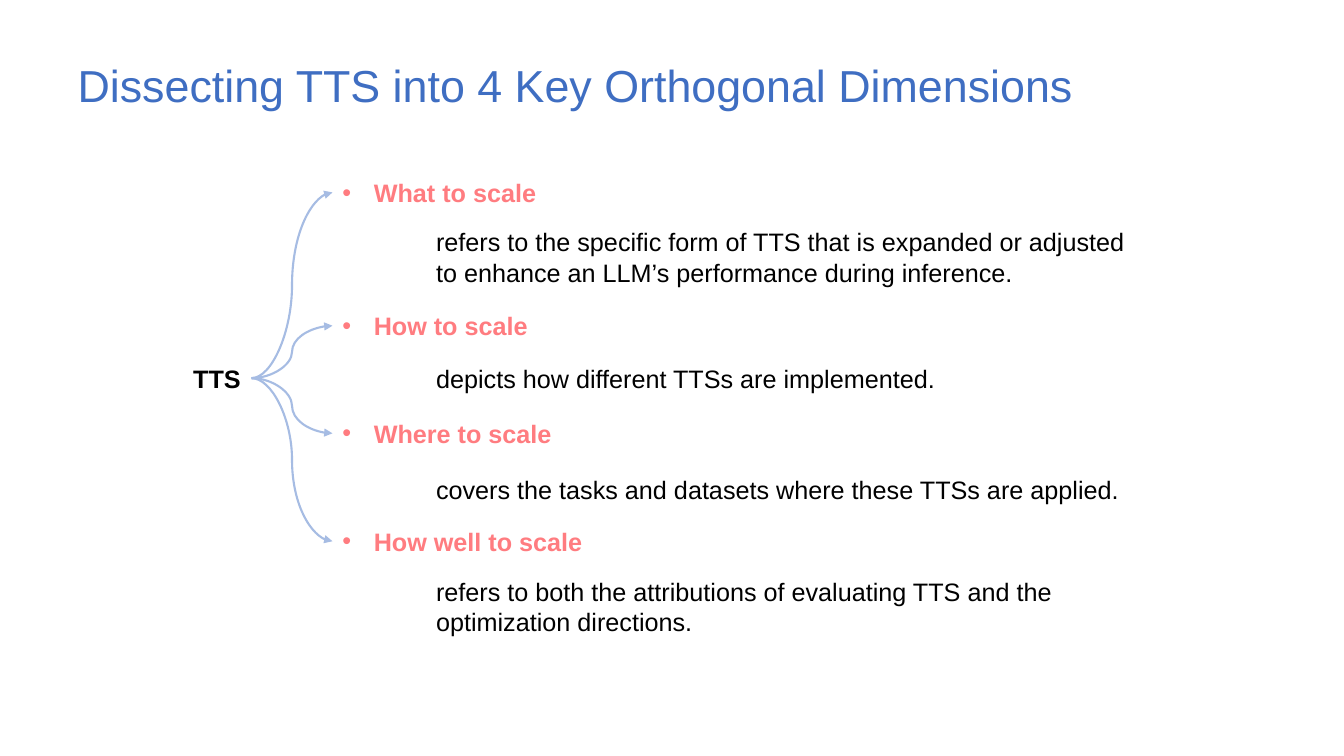
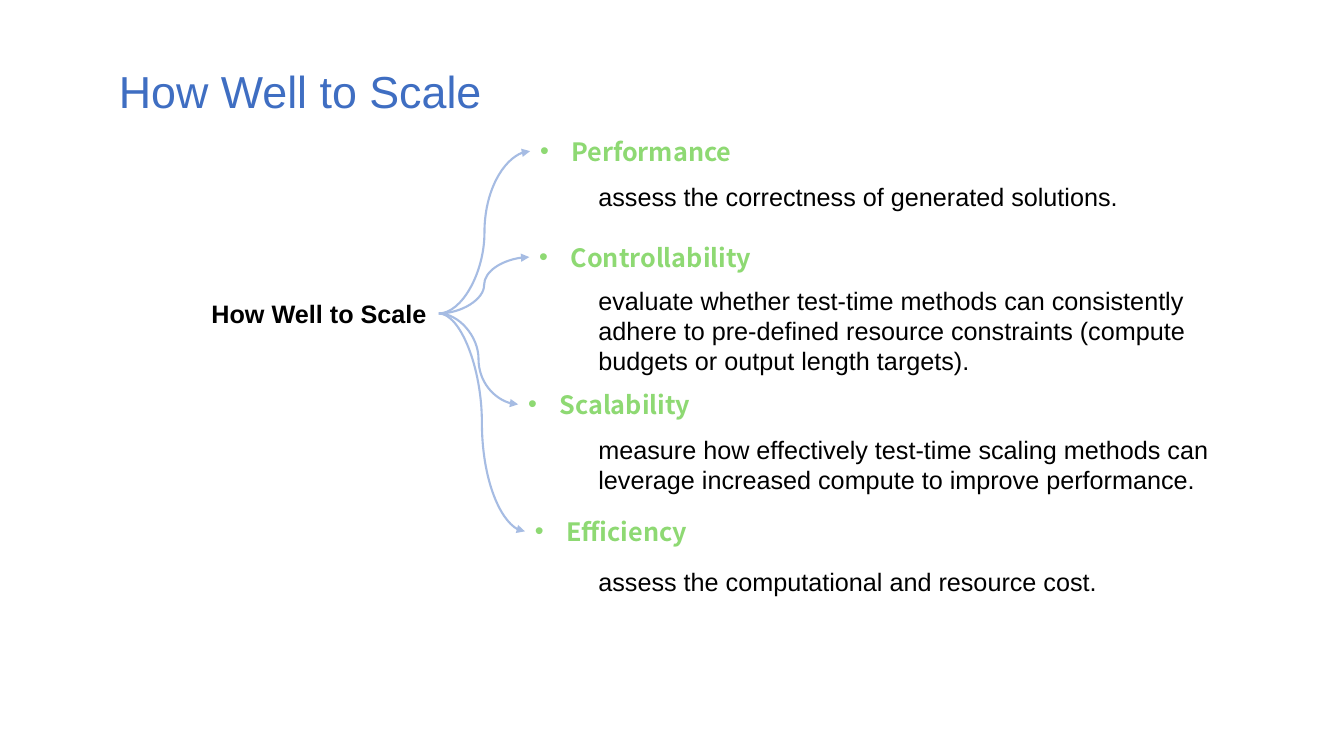
from lxml import etree
from pptx import Presentation
from pptx.dml.color import RGBColor
from pptx.enum.shapes import MSO_CONNECTOR as Connector
from pptx.enum.text import MSO_ANCHOR as Anchor, MSO_AUTO_SIZE as AutoSize, PP_ALIGN as Align
from pptx.oxml.ns import qn
from pptx.util import Cm, Pt


def color(hex_string):
    return RGBColor.from_string(hex_string)


class Deck:
    """Holds the shared style and the current slide."""

    FONT = "Arial"
    TITLE_COLOR, TEXT_COLOR, ARROW_COLOR = "3F6EC2", "000000", "A6BCE3"
    TITLE_SIZE, TEXT_SIZE = 32, 18
    LINE_HEIGHT, BOX_PADDING = 0.77, 0.25
    BULLET_INDENT = Cm(0.79)
    RIGHT_SITE, LEFT_SITE = 3, 1

    def __init__(self):
        self.presentation = Presentation()
        self.presentation.slide_width = Cm(33.87)
        self.presentation.slide_height = Cm(19.05)
        self.slide = None

    def style_text(self, shape, text, size, hex_color, bold=False, font=FONT, wrap=True):
        frame = shape.text_frame
        frame.text = text
        frame.word_wrap = wrap
        frame.auto_size = AutoSize.SHAPE_TO_FIT_TEXT
        frame.vertical_anchor = Anchor.TOP
        paragraph = frame.paragraphs[0]
        paragraph.alignment = Align.LEFT
        run_font = paragraph.runs[0].font
        run_font.name, run_font.size, run_font.bold = font, Pt(size), bold
        run_font.color.rgb = color(hex_color)

    def new_slide(self, title, left, top, width):
        layout = self.presentation.slide_layouts.get_by_name("Title Only")
        self.slide = self.presentation.slides.add_slide(layout)
        shape = self.slide.shapes.title
        shape.left, shape.top, shape.width, shape.height = Cm(left), Cm(top), Cm(width), Cm(1.63)
        self.style_text(shape, title, self.TITLE_SIZE, self.TITLE_COLOR)

    def text(self, text, left, top, width, lines=1, hex_color=TEXT_COLOR, **style):
        height = self.BOX_PADDING + self.LINE_HEIGHT * lines
        shape = self.slide.shapes.add_textbox(Cm(left), Cm(top), Cm(width), Cm(height))
        self.style_text(shape, text, self.TEXT_SIZE, hex_color, **style)
        return shape

    def bullet(self, text, left, top, width, hex_color, font):
        shape = self.text(text, left, top, width, hex_color=hex_color, bold=True, font=font)
        properties = shape.text_frame.paragraphs[0]._p.get_or_add_pPr()
        properties.set("marL", str(self.BULLET_INDENT))
        properties.set("indent", str(-self.BULLET_INDENT))
        etree.SubElement(properties, qn("a:buFont"), typeface=self.FONT)
        etree.SubElement(properties, qn("a:buChar"), char="•")
        return shape

    def arrow(self, source, target):
        connector = self.slide.shapes.add_connector(
            Connector.CURVE,
            source.left + source.width, source.top + source.height // 2,
            target.left, target.top + target.height // 2)
        connector.begin_connect(source, self.RIGHT_SITE)
        connector.end_connect(target, self.LEFT_SITE)
        connector.line.color.rgb = color(self.ARROW_COLOR)
        connector.line.width = Pt(1.5)
        properties = connector._element.spPr
        etree.SubElement(properties.find(qn("a:ln")), qn("a:tailEnd"), type="triangle")
        etree.SubElement(properties, qn("a:effectLst"))

    def branches(self, root, items, heading_width, detail_left, detail_width, hex_color, font=FONT):
        """Draws a root label with an arrow to each heading and its detail text."""
        label_text, left, top, width = root
        label = self.text(label_text, left, top, width, bold=True, wrap=False)
        for heading, heading_left, heading_top, detail, detail_top, lines in items:
            target = self.bullet(heading, heading_left, heading_top, heading_width, hex_color, font)
            self.text(detail, detail_left, detail_top, detail_width, lines)
            self.arrow(label, target)


def main():
    deck = Deck()

    # Four dimensions
    deck.new_slide("Dissecting TTS into 4 Key Orthogonal Dimensions", 1.7, 1.32, 25.96)
    deck.branches(
        ("TTS", 4.62, 9.02, 1.72),
        [
            ("What to scale", 8.38, 4.34,
             "refers to the specific form of TTS that is expanded or adjusted "
             "to enhance an LLM’s performance during inference.", 5.59, 2),
            ("How to scale", 8.38, 7.7,
             "depicts how different TTSs are implemented.", 9.02, 1),
            ("Where to scale", 8.38, 10.41,
             "covers the tasks and datasets where these TTSs are applied.", 11.84, 1),
            ("How well to scale", 8.38, 13.13,
             "refers to both the attributions of evaluating TTS and the "
             "optimization directions.", 14.4, 2),
        ],
        heading_width=7.04, detail_left=10.74, detail_width=17.86, hex_color="FF7C80")

    # Evaluation criteria
    deck.new_slide("How Well to Scale", 2.74, 1.47, 9.9)
    deck.branches(
        ("How Well to Scale", 5.08, 7.39, 5.98),
        [
            ("Performance", 13.36, 3.3,
             "assess the correctness of generated solutions.", 4.45, 1),
            ("Controllability", 13.34, 5.97,
             "evaluate whether test-time methods can consistently adhere to pre-defined "
             "resource constraints (compute budgets or output length targets).", 7.06, 3),
            ("Scalability", 13.06, 9.68,
             "measure how effectively test-time scaling methods can leverage "
             "increased compute to improve performance.", 10.82, 2),
            ("Efficiency", 13.23, 12.88,
             "assess the computational and resource cost.", 14.15, 1),
        ],
        heading_width=6, detail_left=14.83, detail_width=16.94,
        hex_color="8ED973", font="Noto Sans CJK SC")

    deck.presentation.save("out.pptx")


if __name__ == "__main__":
    main()
